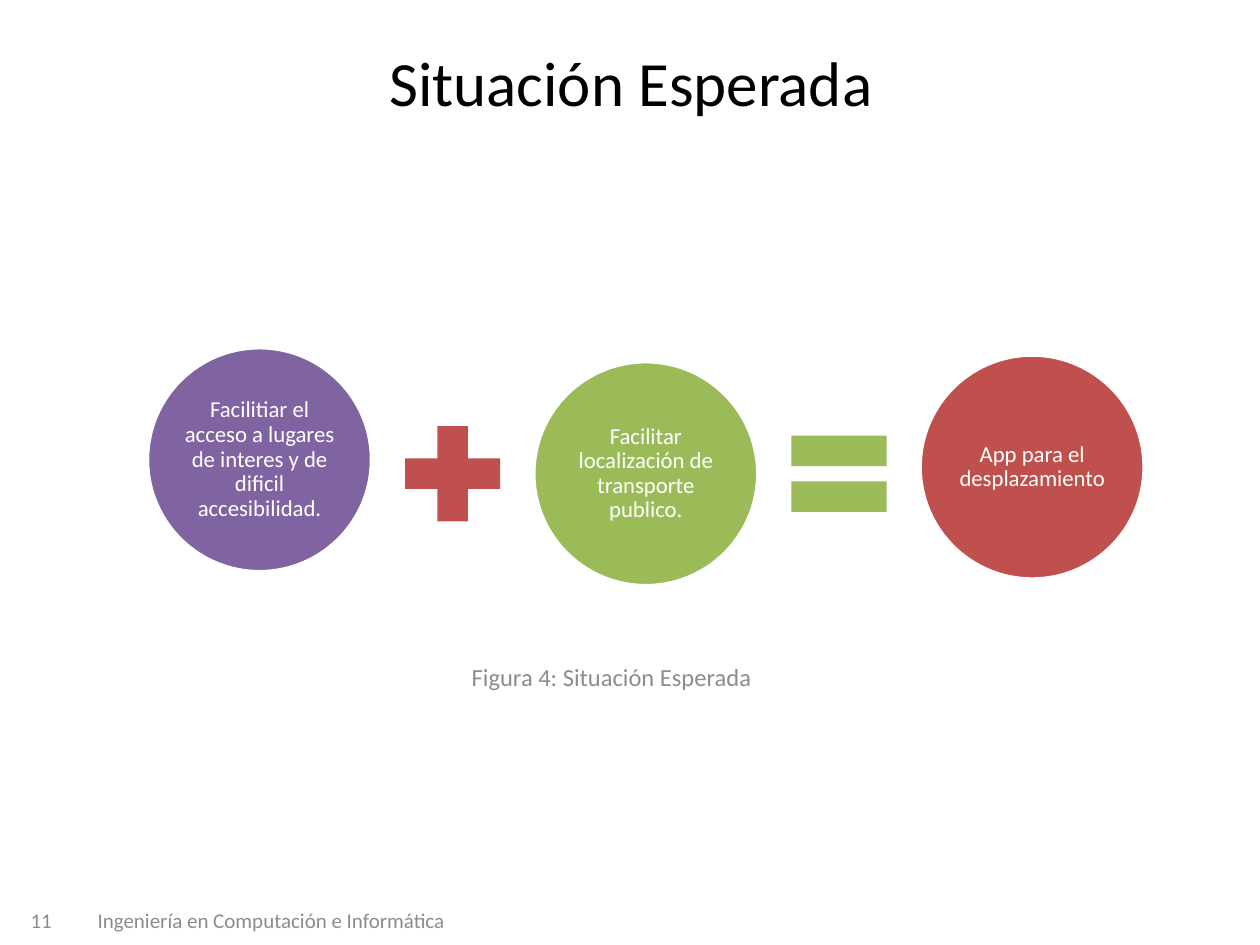
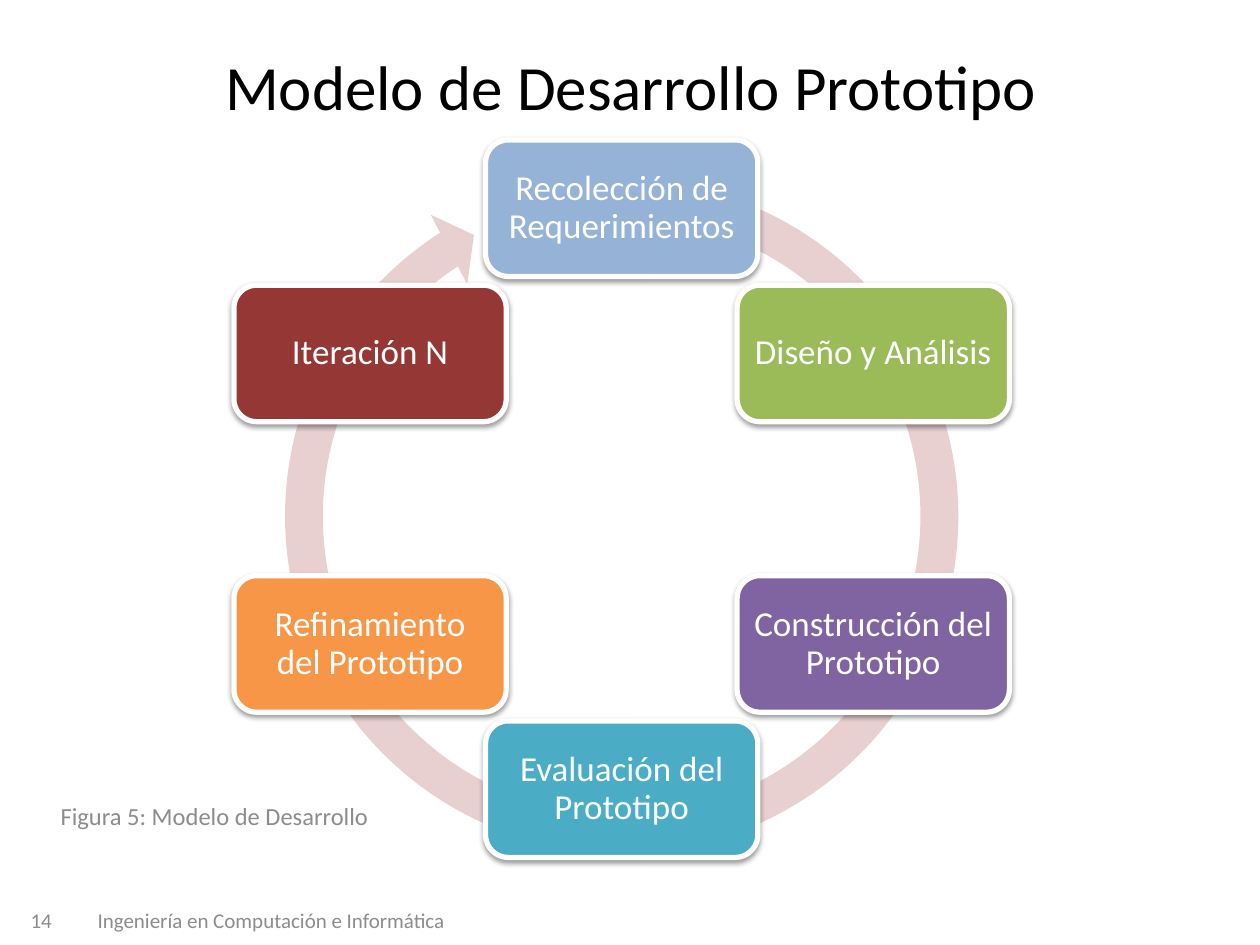
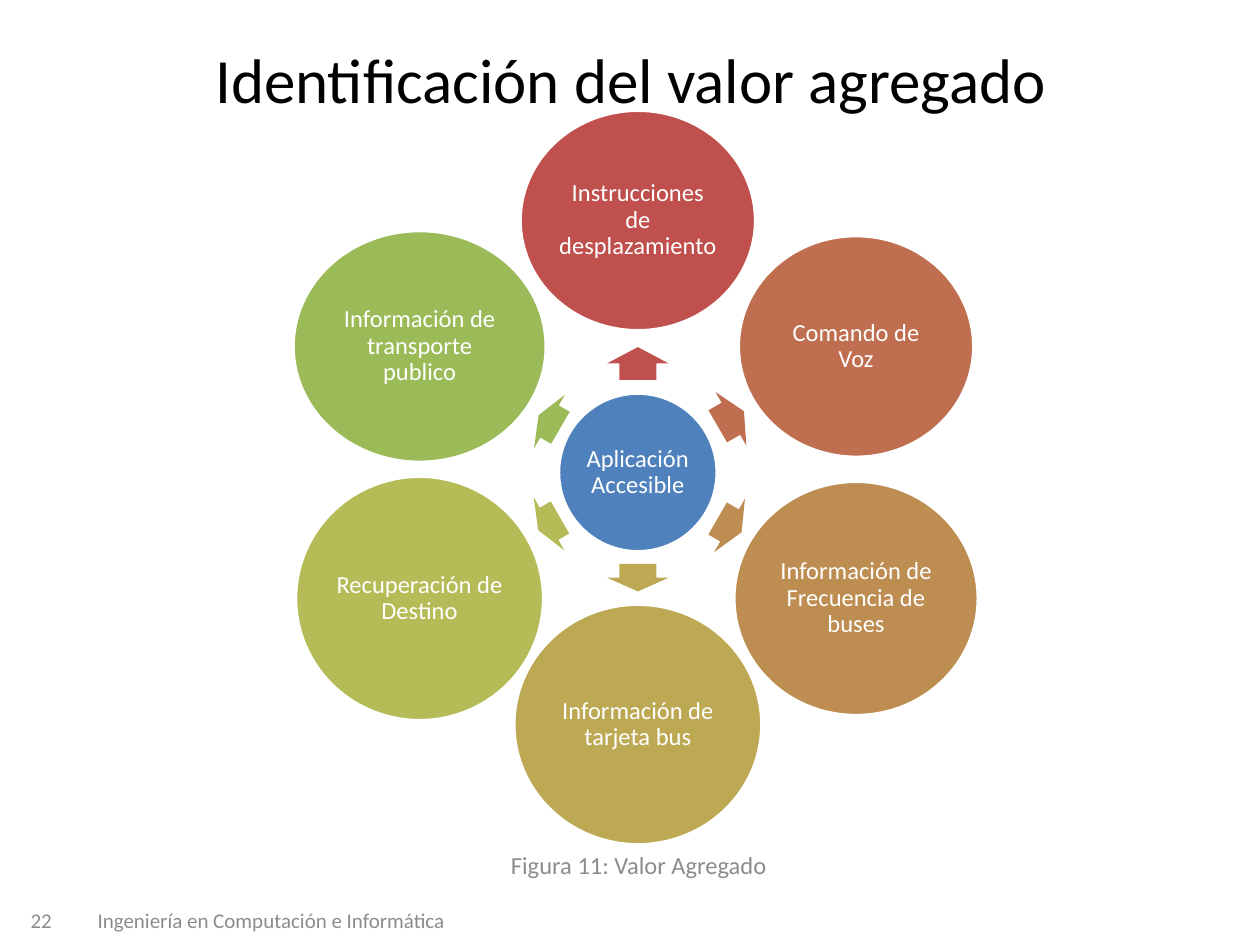
import math
import lxml.etree
import pptx
import pptx.dml.color
import pptx.enum.shapes
import pptx.enum.text
import pptx.oxml.ns
import pptx.util

Pt = pptx.util.Pt
Color = pptx.dml.color.RGBColor
Shape = pptx.enum.shapes.MSO_SHAPE
Align = pptx.enum.text.PP_ALIGN
qn = pptx.oxml.ns.qn

BLACK = Color(0x00, 0x00, 0x00)
WHITE = Color(0xFF, 0xFF, 0xFF)
GRAY = Color(0x8C, 0x8C, 0x8C)
RED = Color(0xC0, 0x50, 0x4D)
GREEN = Color(0x9B, 0xBB, 0x59)
PURPLE = Color(0x80, 0x64, 0xA2)
BLUE = Color(0x4F, 0x81, 0xBD)
SKY = Color(0x95, 0xB3, 0xD7)
TEAL = Color(0x4B, 0xAC, 0xC6)
ORANGE = Color(0xF7, 0x96, 0x46)
WINE = Color(0x95, 0x37, 0x35)
PINK = Color(0xE8, 0xD0, 0xD0)
RUST = Color(0xBF, 0x6F, 0x4F)
TAN = Color(0xBE, 0x8D, 0x52)
GOLD = Color(0xBD, 0xA9, 0x54)
OLIVE = Color(0xB5, 0xBC, 0x57)

FONT = "Calibri"
FOOTER = "Ingeniería en Computación e Informática"


def place(shape, box):
    shape.left, shape.top, shape.width, shape.height = (Pt(n) for n in box)


def write(shape, text, size, color, align=Align.CENTER, inset=(7.2, 3.6), lead=None):
    frame = shape.text_frame
    frame.word_wrap = True
    frame.auto_size = pptx.enum.text.MSO_AUTO_SIZE.NONE
    frame.vertical_anchor = pptx.enum.text.MSO_ANCHOR.MIDDLE
    frame.margin_left = frame.margin_right = Pt(inset[0])
    frame.margin_top = frame.margin_bottom = Pt(inset[1])
    para = frame.paragraphs[0]
    para.alignment = align
    if lead:
        para.line_spacing = lead
    run = para.add_run()
    run.text = text
    run.font.name = FONT
    run.font.size = Pt(size)
    run.font.color.rgb = color


def label(slide, box, text, size, align=Align.CENTER):
    write(slide.shapes.add_textbox(*(Pt(n) for n in box)), text, size, GRAY, align)


def figure(slide, kind, mid, size, fill, edge=0):
    x, y = mid
    wide, high = size
    box = (x - wide / 2, y - high / 2, wide, high)
    shape = slide.shapes.add_shape(kind, *(Pt(n) for n in box))
    shape.shadow.inherit = False
    shape.fill.solid()
    shape.fill.fore_color.rgb = fill
    if edge:
        shape.line.color.rgb = WHITE
        shape.line.width = Pt(edge)
    else:
        shape.line.fill.background()
    return shape


def bubble(slide, mid, size, fill, text, points):
    shape = figure(slide, Shape.OVAL, mid, size, fill, 2)
    write(shape, text, points, WHITE, inset=(1.3, 1.3), lead=0.9)


def shade(shape):
    effects = shape.element.spPr.find(qn("a:effectLst"))
    outer = lxml.etree.SubElement(
        effects, qn("a:outerShdw"), blurRad=str(Pt(3.1)), dist=str(Pt(1.6)),
        dir="5400000", rotWithShape="0")
    color = lxml.etree.SubElement(outer, qn("a:srgbClr"), val=str(BLACK))
    lxml.etree.SubElement(color, qn("a:alpha"), val="38000")


def polar(mid, reach, angle):
    turn = math.radians(angle)
    return mid[0] + reach * math.cos(turn), mid[1] + reach * math.sin(turn)


def start(deck, title, top, number, note, spot):
    slide = deck.slides.add_slide(deck.slide_layouts[5])
    head = slide.shapes.title
    place(head, (36.5, top, 648, 90))
    write(head, title, 36, BLACK)
    label(slide, (41, 511, 228, 29), FOOTER, 12)
    label(slide, (0, 511, 36.7, 29), str(number), 12, Align.RIGHT)
    label(slide, (*spot, 228, 29), note, 14)
    return slide


def sums(slide, box):
    left, top, wide, high = box
    disc = 128
    pitch = (wide - disc) / 2
    terms = [
        ("Facilitiar el acceso a lugares de interes y de dificil accesibilidad.", PURPLE, 64),
        ("Facilitar localización de transporte publico.", GREEN, 72),
        ("App para el desplazamiento", RED, 68.2),
    ]
    for i, (text, fill, drop) in enumerate(terms):
        bubble(slide, (left + disc / 2 + i * pitch, top + drop), (disc, disc), fill, text, 13)
    signs = [(Shape.MATH_PLUS, RED), (Shape.MATH_EQUAL, GREEN)]
    for i, (kind, fill) in enumerate(signs):
        mid = (left + disc / 2 + (i + 0.5) * pitch, top + 72)
        figure(slide, kind, mid, (74, 74), fill)


def cycle(slide, box):
    left, top, wide, high = box
    mid = (left + wide / 2, top + high / 2)
    ring = figure(slide, Shape.CIRCULAR_ARROW, (mid[0], mid[1] + 10), (408, 408), PINK)
    for i, value in enumerate((0.053, 3.126, 142.247, 171.29, 0.055)):
        ring.adjustments[i] = value
    steps = [
        ("Recolección de Requerimientos", SKY),
        ("Diseño y Análisis", GREEN),
        ("Construcción del Prototipo", PURPLE),
        ("Evaluación del Prototipo", TEAL),
        ("Refinamiento del Prototipo", ORANGE),
        ("Iteración N", WINE),
    ]
    size = (155.6, 78)
    reach = (high - size[1]) / 2
    for i, (text, fill) in enumerate(steps):
        spot = polar(mid, reach, i * 60 - 90)
        card = figure(slide, Shape.ROUNDED_RECTANGLE, spot, size, fill, 3)
        shade(card)
        write(card, text, 20, WHITE, inset=(5, 5), lead=0.9)


def radial(slide, box):
    left, top, wide, high = box
    mid = (left + wide / 2, top + high / 2)
    bubble(slide, mid, (90.7, 90.7), BLUE, "Aplicación Accesible", 14)
    parts = [
        ("Instrucciones de desplazamiento", RED, (134.6, 126), 18.7, 62.3),
        ("Comando de Voz", RUST, (134.6, 126.7), 17.3, 61.4),
        ("Información de Frecuencia de buses", TAN, (139.7, 133.9), 15.8, 60.5),
        ("Información de tarjeta bus", GOLD, (141.8, 137.5), 15.8, 60.1),
        ("Recuperación de Destino", OLIVE, (141.8, 139.7), 14.4, 58.6),
        ("Información de transporte publico", GREEN, (144.7, 132.5), 14.4, 58.3),
    ]
    for i, (text, fill, size, long, gap) in enumerate(parts):
        angle = i * 60 - 90
        arrow = figure(slide, Shape.RIGHT_ARROW, polar(mid, gap, angle), (long, 35.3), fill)
        arrow.adjustments[0] = 0.6
        arrow.adjustments[1] = 0.5
        arrow.rotation = angle % 360
        bubble(slide, polar(mid, high / 2, angle), size, fill, text, 14)


def main():
    deck = pptx.Presentation()
    deck.slide_width, deck.slide_height = Pt(720), Pt(540)
    slide = start(deck, "Situación Esperada", 1.5, 11,
                  "Figura 4: Situación Esperada", (235.5, 372))
    sums(slide, (84.3, 198.7, 569.5, 136))
    slide = start(deck, "Modelo de Desarrollo Prototipo", 3.6, 14,
                  "Figura 5: Modelo de Desarrollo", (8.6, 451.5))
    cycle(slide, (133.5, 80, 443.5, 410))
    slide = start(deck, "Identificación del valor agregado", 0, 22,
                  "Figura 11: Valor Agregado", (251, 479.5))
    radial(slide, (239.8, 126, 249.4, 288))
    deck.save("out.pptx")


if __name__ == "__main__":
    main()
